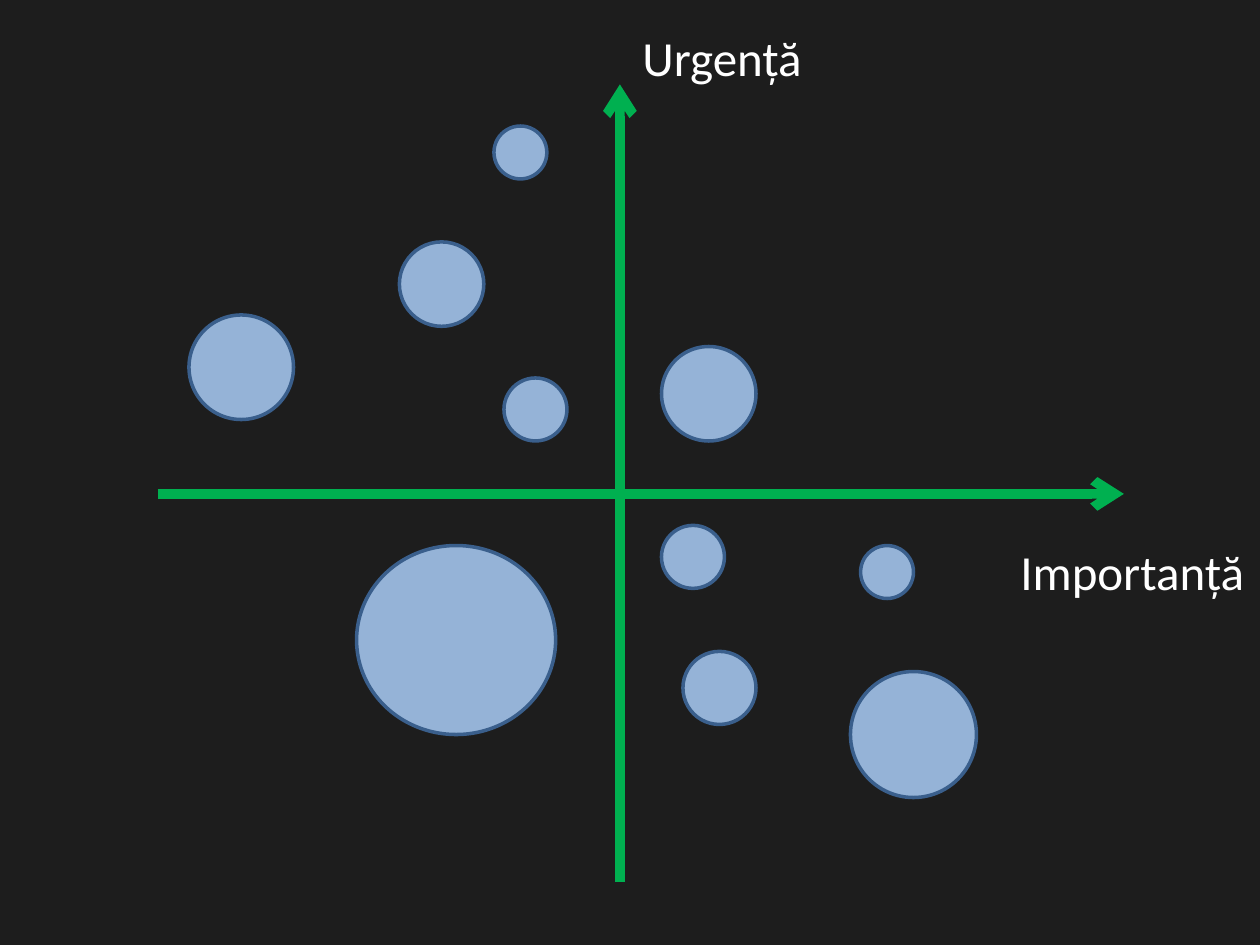
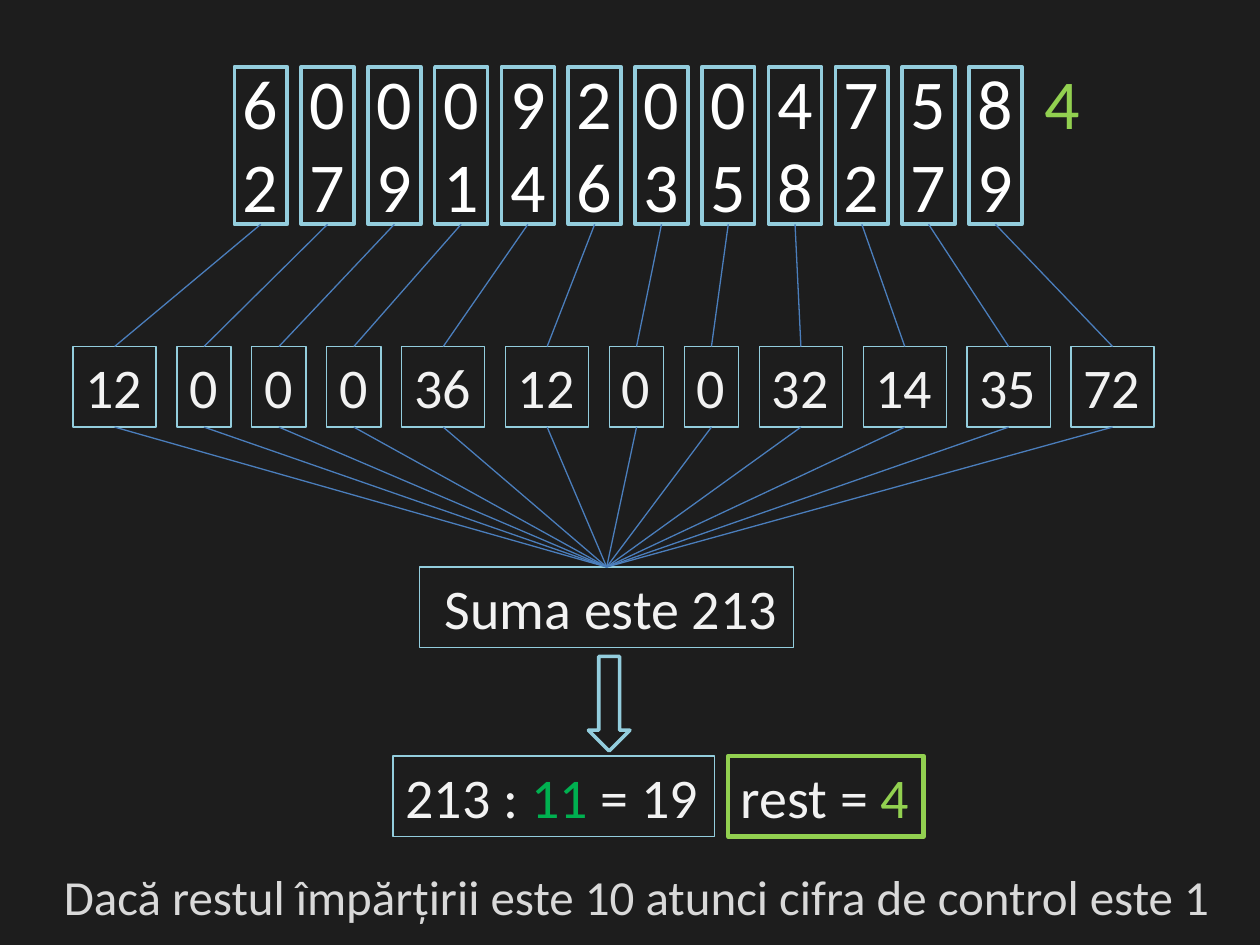
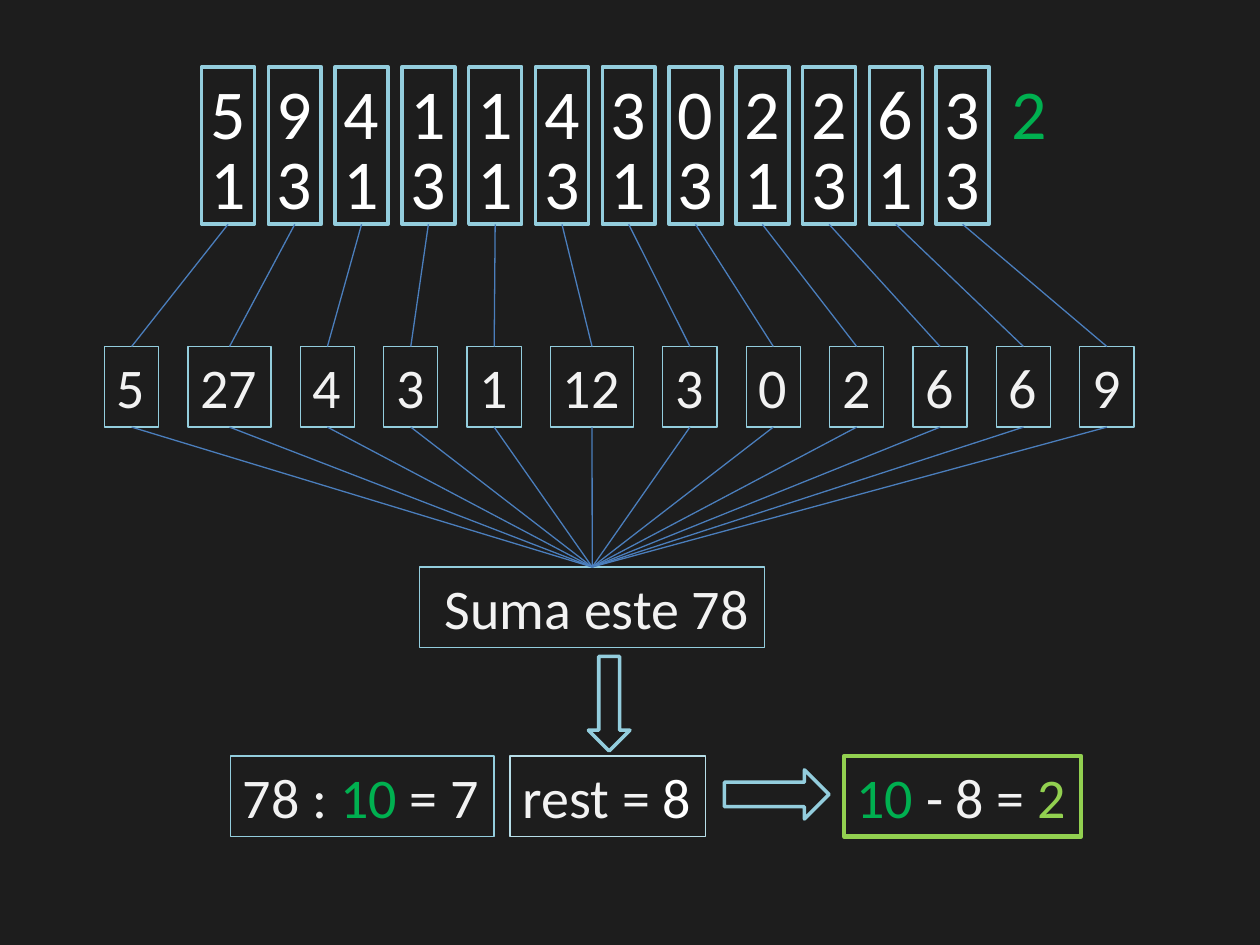
"""Build three slides: a priority map and two check digit calculations."""
from dataclasses import dataclass

from lxml import etree
from pptx import Presentation
from pptx.dml.color import RGBColor
from pptx.enum.shapes import MSO_CONNECTOR, MSO_SHAPE
from pptx.enum.text import MSO_ANCHOR, PP_ALIGN
from pptx.oxml.ns import qn
from pptx.util import Inches, Pt

STRAIGHT = MSO_CONNECTOR.STRAIGHT
OVAL, RECTANGLE = MSO_SHAPE.OVAL, MSO_SHAPE.RECTANGLE
DOWN_ARROW, RIGHT_ARROW = MSO_SHAPE.DOWN_ARROW, MSO_SHAPE.RIGHT_ARROW
TOP_ANCHOR = MSO_ANCHOR.TOP
LEFT, CENTER = PP_ALIGN.LEFT, PP_ALIGN.CENTER
TOP_SIDE, BOTTOM_SIDE = 0, 2


@dataclass(frozen=True)
class Theme:
    """Colours, font and sizes shared by the slides."""
    font: str = "Calibri"
    background: str = "1D1D1D"
    white: str = "FFFFFF"
    text: str = "F2F2F2"
    muted: str = "D9D9D9"
    green: str = "00B050"
    lime: str = "92D050"
    bubble: str = "95B3D7"
    bubble_edge: str = "3A5F8C"
    frame: str = "93CDDD"
    pale_frame: str = "B7DEE8"
    link: str = "4B7EBC"
    digit_size: int = 40
    box_size: int = 32
    label_size: int = 28
    thin: float = 0.75
    medium: float = 2
    strong: float = 2.5
    axis: float = 5.5


THEME = Theme()

AXES = [((4.92, 7), (4.92, 0.67)), ((1.25, 3.92), (8.92, 3.92))]
AXIS_LABELS = [("Importanță", (8, 4.25, 2, 0.57)), ("Urgență", (5, 0.17, 1.48, 0.57))]
BUBBLES = [
    (5.25, 2.75, 0.75, 0.75), (4, 3, 0.5, 0.5), (2.83, 4.33, 1.58, 1.5),
    (5.25, 4.17, 0.5, 0.5), (5.42, 5.17, 0.58, 0.58), (6.83, 4.33, 0.42, 0.42),
    (6.75, 5.33, 1, 1), (1.5, 2.5, 0.83, 0.83), (3.92, 1, 0.42, 0.42),
    (3.17, 1.92, 0.67, 0.67),
]

CALCULATIONS = [
    {
        "digits": "600092004758", "weights": "279146358279",
        "control": ("4", THEME.lime),
        "columns_left": 1.86, "digits_left": 1.83, "digit_tops": (0.42, 1.08),
        "products_span": (0.58, 9.16), "sum_width": 2.97,
        "results": [
            (3.12, 2.55, THEME.frame, THEME.thin,
             [("213 : ", THEME.text), ("11", THEME.green), (" = 19", THEME.text)]),
            (5.78, 1.55, THEME.lime, THEME.strong,
             [("rest = ", THEME.text), ("4", THEME.lime)]),
        ],
        "arrows": [(DOWN_ARROW, (4.67, 5.21, 0.33, 0.75))],
        "caption": "Dacă restul împărțirii este 10 atunci cifra de control este 1",
    },
    {
        "digits": "594114302263", "weights": "131313131313",
        "control": ("2", THEME.green),
        "columns_left": 1.6, "digits_left": 1.57, "digit_tops": (0.5, 1.06),
        "products_span": (0.83, 9), "sum_width": 2.74,
        "results": [
            (1.83, 2.09, THEME.frame, THEME.thin,
             [("78 : ", THEME.text), ("10", THEME.green), (" = 7", THEME.text)]),
            (4.05, 1.55, THEME.pale_frame, 1,
             [("rest = ", THEME.text), ("8", THEME.white)]),
            (6.7, 1.88, THEME.lime, THEME.strong,
             [("10", THEME.green), (" - 8 = ", THEME.text), ("2", THEME.lime)]),
        ],
        "arrows": [(DOWN_ARROW, (4.67, 5.21, 0.33, 0.75)),
                   (RIGHT_ARROW, (5.75, 6.11, 0.83, 0.39))],
        "caption": None,
    },
]

COLUMN_PITCH = 0.53
COLUMN_TOP, COLUMN_WIDTH, COLUMN_HEIGHT = 0.53, 0.42, 1.25
PRODUCT_WIDTHS = {1: 0.43, 2: 0.66}
PRODUCT_TOP, SUM_TOP, RESULT_TOP, BOX_HEIGHT = 2.75, 4.5, 6, 0.64
SUM_LEFT = 3.33


def color(value):
    """Turn a hex string into a colour."""
    return RGBColor.from_string(value)


def inches(values):
    """Convert a sequence of numbers to lengths."""
    return [Inches(value) for value in values]


def write(shape, runs, size=THEME.box_size, align=LEFT, wrap=False,
          left_inset=0.1, tab_pitch=None):
    """Write coloured runs as one paragraph in a shape."""
    frame = shape.text_frame
    frame.word_wrap = wrap
    frame.vertical_anchor = TOP_ANCHOR
    frame.margin_left = Inches(left_inset)
    paragraph = frame.paragraphs[0]
    paragraph.alignment = align
    if tab_pitch:
        tabs = etree.SubElement(paragraph._p.get_or_add_pPr(), qn("a:tabLst"))
        tab_count = sum(text.count("\t") for text, _ in runs)
        for number in range(1, tab_count + 1):
            etree.SubElement(tabs, qn("a:tab"), algn="l",
                             pos=str(Inches(number * tab_pitch)))
    for text, run_color in runs:
        run = paragraph.add_run()
        run.text = text
        run.font.name = THEME.font
        run.font.size = Pt(size)
        run.font.color.rgb = color(run_color)


def add_label(slide, place, runs, **text_format):
    """Add a text box holding one formatted paragraph."""
    write(slide.shapes.add_textbox(*inches(place)), runs, **text_format)


def add_figure(slide, kind, place, edge, weight, fill=None):
    """Add an outlined preset shape, hollow unless a fill is given."""
    shape = slide.shapes.add_shape(kind, *inches(place))
    shape.shadow.inherit = False
    if fill:
        shape.fill.solid()
        shape.fill.fore_color.rgb = color(fill)
    else:
        shape.fill.background()
    shape.line.color.rgb = color(edge)
    shape.line.width = Pt(weight)
    return shape


def add_line(slide, line_color, weight, start=(0, 0), end=(0, 0)):
    """Add a straight connector without a shadow."""
    line = slide.shapes.add_connector(STRAIGHT, *inches(start + end))
    line.line.color.rgb = color(line_color)
    line.line.width = Pt(weight)
    etree.SubElement(line._element.spPr, qn("a:effectLst"))
    return line


def join(slide, upper, lower):
    """Link the bottom of one box to the top of another."""
    line = add_line(slide, THEME.link, THEME.thin)
    line.begin_connect(upper, BOTTOM_SIDE)
    line.end_connect(lower, TOP_SIDE)


def build_priority_map(slide):
    """Draw the urgency and importance axes with their bubbles."""
    for start, end in AXES:
        axis = add_line(slide, THEME.green, THEME.axis, start, end)
        etree.SubElement(axis.line._get_or_add_ln(), qn("a:tailEnd"), type="arrow")
    for place in BUBBLES:
        add_figure(slide, OVAL, place, THEME.bubble_edge, THEME.medium, THEME.bubble)
    for text, place in AXIS_LABELS:
        add_label(slide, place, [(text, THEME.white)], size=THEME.label_size)


def add_products(slide, products, span):
    """Spread the product boxes with equal gaps over a span."""
    widths = [PRODUCT_WIDTHS[len(str(product))] for product in products]
    left, right = span
    gap = (right - left - sum(widths)) / (len(widths) - 1)
    boxes = []
    for product, width in zip(products, widths):
        box = add_figure(slide, RECTANGLE, (left, PRODUCT_TOP, width, BOX_HEIGHT),
                         THEME.frame, THEME.thin)
        write(box, [(str(product), THEME.text)])
        boxes.append(box)
        left += width + gap
    return boxes


def build_calculation(slide, calculation):
    """Draw digits, weights, products, sum and remainder."""
    digits, weights = calculation["digits"], calculation["weights"]
    products = [int(digit) * int(weight) for digit, weight in zip(digits, weights)]
    control, control_color = calculation["control"]
    rows = [
        [("\t".join(digits) + "\t", THEME.white), (control, control_color)],
        [("\t".join(weights), THEME.white)],
    ]
    left = calculation["digits_left"]
    for top, runs in zip(calculation["digit_tops"], rows):
        add_label(slide, (left, top, 10 - left, 0.77), runs, size=THEME.digit_size,
                  wrap=True, tab_pitch=COLUMN_PITCH)
    columns = [
        add_figure(slide, RECTANGLE,
                   (calculation["columns_left"] + index * COLUMN_PITCH,
                    COLUMN_TOP, COLUMN_WIDTH, COLUMN_HEIGHT),
                   THEME.frame, THEME.medium)
        for index in range(len(digits))
    ]
    product_boxes = add_products(slide, products, calculation["products_span"])
    sum_box = add_figure(slide, RECTANGLE,
                         (SUM_LEFT, SUM_TOP, calculation["sum_width"], BOX_HEIGHT),
                         THEME.frame, THEME.thin)
    write(sum_box, [(f"Suma este {sum(products)}", THEME.text)], left_inset=0.2)
    for column, product_box in zip(columns, product_boxes):
        join(slide, column, product_box)
        join(slide, product_box, sum_box)
    for left, width, edge, weight, runs in calculation["results"]:
        box = add_figure(slide, RECTANGLE, (left, RESULT_TOP, width, BOX_HEIGHT),
                         edge, weight)
        write(box, runs)
    for kind, place in calculation["arrows"]:
        add_figure(slide, kind, place, THEME.frame, THEME.medium)
    if calculation["caption"]:
        add_label(slide, (0, 6.83, 10, 0.57), [(calculation["caption"], THEME.muted)],
                  size=THEME.label_size, align=CENTER, wrap=True, left_inset=0.2)


def main():
    """Build and save the presentation."""
    presentation = Presentation()
    presentation.slide_width, presentation.slide_height = Inches(10), Inches(7.5)
    background = presentation.slide_master.background.fill
    background.solid()
    background.fore_color.rgb = color(THEME.background)
    blank_layout = presentation.slide_layouts[6]
    build_priority_map(presentation.slides.add_slide(blank_layout))
    for calculation in CALCULATIONS:
        build_calculation(presentation.slides.add_slide(blank_layout), calculation)
    presentation.save("out.pptx")


if __name__ == "__main__":
    main()
